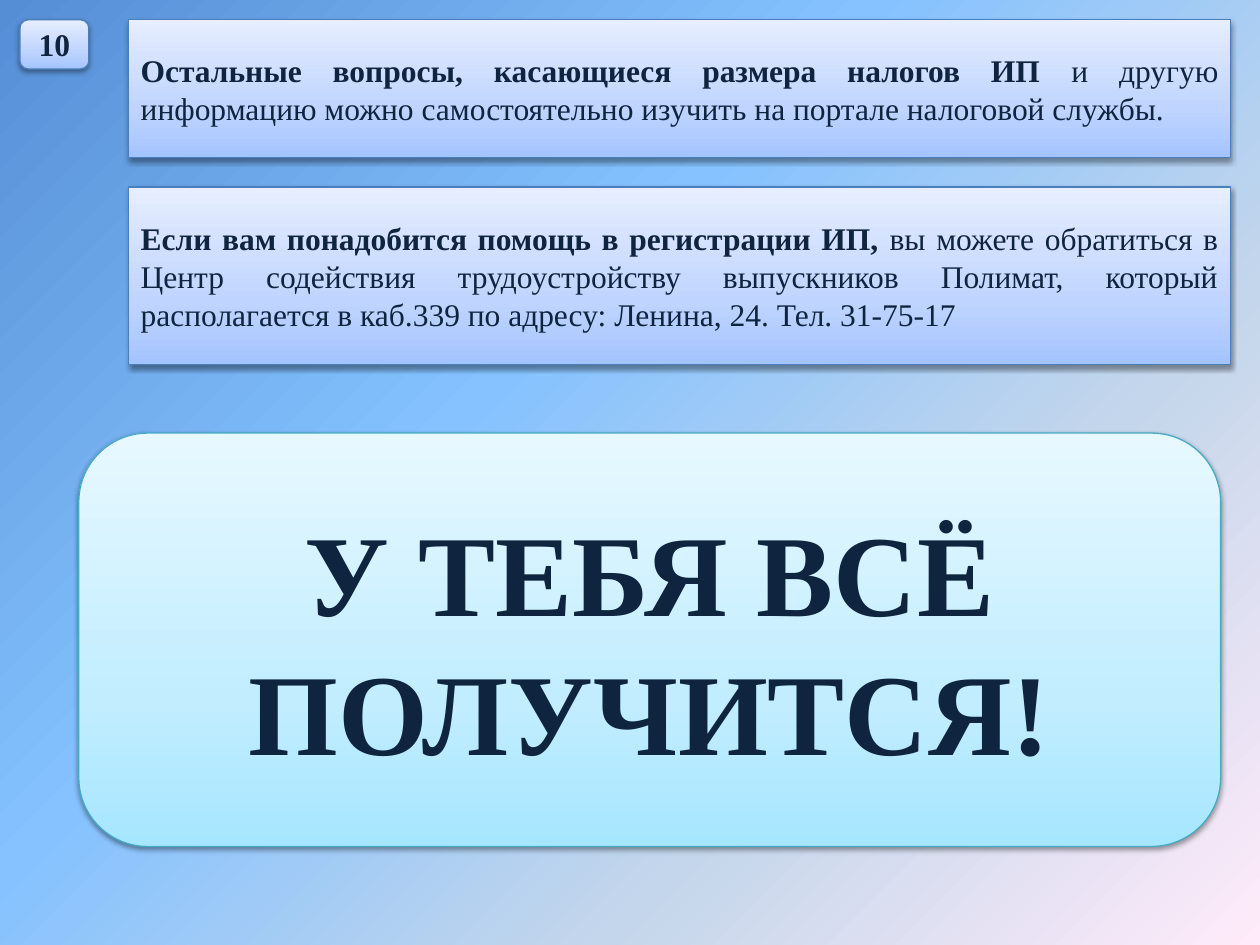
import pptx
import pptx.dml.color
import pptx.enum.shapes
import pptx.enum.text
import pptx.oxml
import pptx.oxml.ns
import pptx.util
from dataclasses import dataclass

Pt = pptx.util.Pt
RGB = pptx.dml.color.RGBColor.from_string
SHAPE = pptx.enum.shapes.MSO_SHAPE
ALIGN = pptx.enum.text.PP_ALIGN


@dataclass(frozen=True)
class Theme:
    font: str = "Times New Roman"
    text: str = "0F243E"
    body_size: int = 18
    slogan_size: int = 66
    background: tuple = ((0, "558ED5"), (40, "85C2FF"), (70, "C4D6EB"), (100, "FFEBFA"))
    blue: tuple = ((0, "A4C4FF"), (35, "BFD4FF"), (100, "E6EEFF"))
    blue_line: str = "4B7EBC"
    aqua: tuple = ((0, "A7E6FF"), (35, "C1EDFF"), (100, "E7F8FF"))
    aqua_line: str = "46AAC5"
    line_width: float = 0.75


THEME = Theme()


def set_gradient(fill, root, stops, angle):
    """Fill with any number of (percent, colour) stops; angle is counter-clockwise."""
    fill.gradient()
    fill.gradient_angle = angle
    gs_list = next(root.iter(pptx.oxml.ns.qn("a:gsLst")))
    for gs in list(gs_list):
        gs_list.remove(gs)
    for percent, color in stops:
        gs_list.append(pptx.oxml.parse_xml(
            f'<a:gs {pptx.oxml.ns.nsdecls("a")} pos="{percent * 1000}">'
            f'<a:srgbClr val="{color}"/></a:gs>'))


def set_shadow(sp):
    sp.shadow.inherit = False
    effects = next(sp._element.iter(pptx.oxml.ns.qn("a:effectLst")))
    effects.append(pptx.oxml.parse_xml(
        f'<a:outerShdw {pptx.oxml.ns.nsdecls("a")} blurRad="{Pt(3.1)}" dist="{Pt(1.6)}" '
        'dir="5400000" rotWithShape="0"><a:srgbClr val="000000">'
        '<a:alpha val="38000"/></a:srgbClr></a:outerShdw>'))


def add_text(p, text, size=THEME.body_size, bold=False):
    r = p.add_run()
    r.text = text
    r.font.name = THEME.font
    r.font.size = Pt(size)
    r.font.bold = bold
    r.font.color.rgb = RGB(THEME.text)


def add_panel(s, box, shape, stops, line, align):
    """Add a shaded panel and return its empty paragraph."""
    sp = s.shapes.add_shape(shape, *(Pt(v) for v in box))
    set_gradient(sp.fill, sp._element.spPr, stops, 90)
    sp.line.color.rgb = RGB(line)
    sp.line.width = Pt(THEME.line_width)
    set_shadow(sp)
    tf = sp.text_frame
    tf.word_wrap = True
    tf.vertical_anchor = pptx.enum.text.MSO_ANCHOR.MIDDLE
    p = tf.paragraphs[0]
    p.alignment = align
    return p


def add_number(s, box, number):
    p = add_panel(s, box, SHAPE.ROUNDED_RECTANGLE, THEME.blue, THEME.blue_line, ALIGN.CENTER)
    add_text(p, number, bold=True)


def add_notes(s, box, notes, gap):
    """Stack the notes in the box, each with its own height."""
    left, top, width, _ = box
    for height, lead, rest in notes:
        p = add_panel(s, (left, top, width, height), SHAPE.RECTANGLE,
                      THEME.blue, THEME.blue_line, ALIGN.JUSTIFY)
        add_text(p, lead, bold=True)
        add_text(p, rest)
        top += height + gap


def add_slogan(s, box, text):
    p = add_panel(s, box, SHAPE.ROUNDED_RECTANGLE, THEME.aqua, THEME.aqua_line, ALIGN.CENTER)
    add_text(p, text, size=THEME.slogan_size, bold=True)


NOTES = [
    (78.75, "Остальные вопросы, касающиеся размера налогов ИП ",
     "и другую информацию можно самостоятельно изучить на портале налоговой службы."),
    (101.25, "Если вам понадобится помощь в регистрации ИП, ",
     "вы можете обратиться в Центр содействия трудоустройству выпускников Полимат, "
     "который располагается в каб.339 по адресу: Ленина, 24. Тел. 31-75-17"),
]


def main():
    prs = pptx.Presentation()
    prs.slide_width, prs.slide_height = Pt(720), Pt(540)
    s = prs.slides.add_slide(prs.slide_layouts[6])

    # Diagonal background
    set_gradient(s.background.fill, s._element, THEME.background, 315)

    # Slide number, notes and closing slogan
    add_number(s, (11.4, 11.3, 39.4, 28.1), "10")
    add_notes(s, (73.3, 11.3, 630, 196.9), NOTES, gap=16.9)
    add_slogan(s, (45, 247.5, 652.5, 236.25), "У ТЕБЯ ВСЁ ПОЛУЧИТСЯ!")

    prs.save("out.pptx")


if __name__ == "__main__":
    main()
